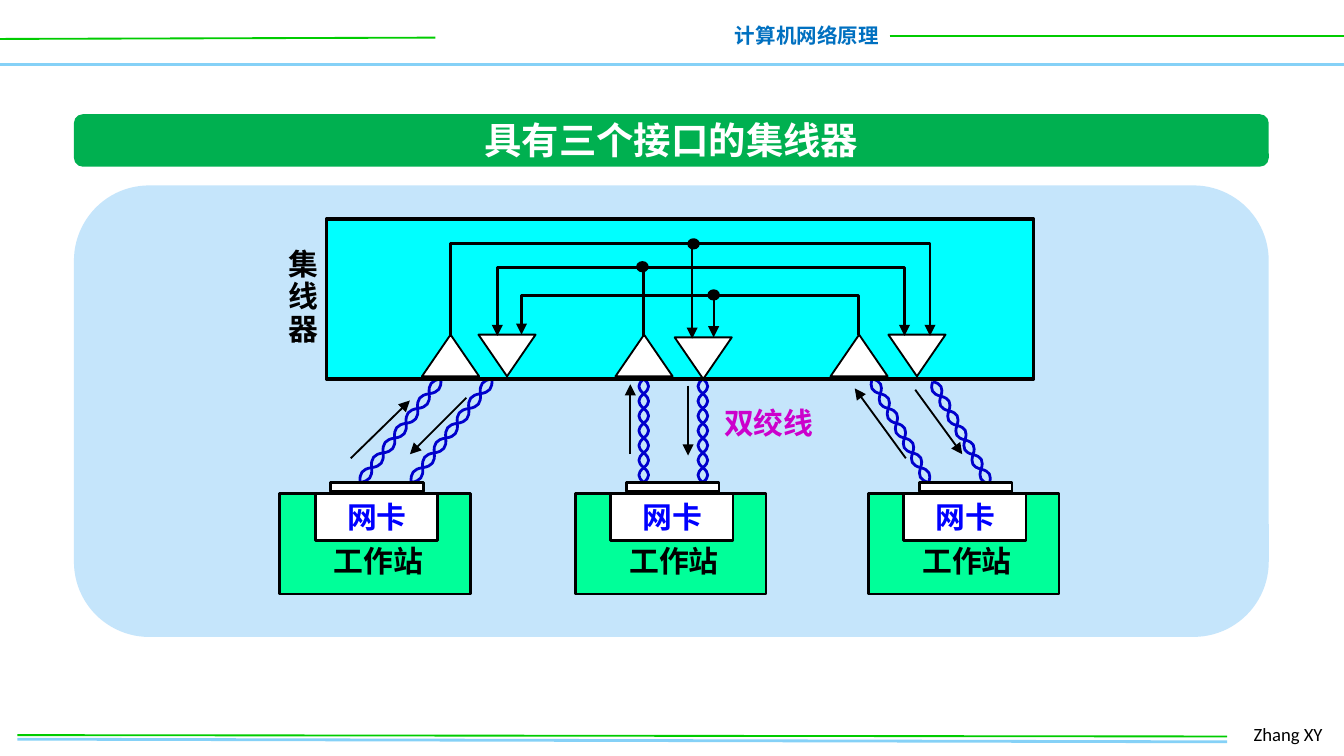
from math import hypot

from lxml import etree
from pptx import Presentation
from pptx.dml.color import RGBColor
from pptx.enum.shapes import MSO_CONNECTOR, MSO_SHAPE
from pptx.enum.text import MSO_AUTO_SIZE, PP_ALIGN
from pptx.oxml.ns import qn
from pptx.util import Inches, Pt

RECTANGLE, ROUNDED = MSO_SHAPE.RECTANGLE, MSO_SHAPE.ROUNDED_RECTANGLE
TRIANGLE, OVAL = MSO_SHAPE.ISOSCELES_TRIANGLE, MSO_SHAPE.OVAL
STRAIGHT = MSO_CONNECTOR.STRAIGHT
LEFT, CENTER, RIGHT = PP_ALIGN.LEFT, PP_ALIGN.CENTER, PP_ALIGN.RIGHT
CJK = "Noto Sans CJK SC"
BLACK, WHITE = "000000", "FFFFFF"

presentation = Presentation()
presentation.slide_width, presentation.slide_height = Inches(10), Inches(5.625)
slide = presentation.slides.add_slide(presentation.slide_layouts[6])
shapes = slide.shapes

# All positions are counted in square cells, 100 columns across the slide
CELL = presentation.slide_width // 100


def style(shape, fill=None, line=None, weight=1, arrow=False):
    """Set fill, outline and arrowhead, and switch the shadow off."""
    if hasattr(shape, "fill"):
        if fill:
            shape.fill.solid()
            shape.fill.fore_color.rgb = RGBColor.from_string(fill)
        else:
            shape.fill.background()
    if line:
        shape.line.color.rgb = RGBColor.from_string(line)
        shape.line.width = Pt(weight)
    else:
        shape.line.fill.background()
    properties = shape._element.spPr
    if arrow:
        etree.SubElement(properties.find(qn("a:ln")), qn("a:tailEnd"), type="triangle")
    etree.SubElement(properties, qn("a:effectLst"))


def add_label(text, box, size, color, align=LEFT, font=CJK, bold=True, spacing=None):
    """Place an unwrapped label, one paragraph per line of text."""
    textbox = shapes.add_textbox(*[int(value * CELL) for value in box])
    frame = textbox.text_frame
    frame.word_wrap = False
    frame.auto_size = MSO_AUTO_SIZE.SHAPE_TO_FIT_TEXT
    frame.text = text
    for paragraph in frame.paragraphs:
        paragraph.alignment = align
        paragraph.line_spacing = spacing
        paragraph.font.size = Pt(size)
        paragraph.font.bold = bold
        paragraph.font.color.rgb = RGBColor.from_string(color)
        paragraph.font.name = font
        defaults = paragraph._p.pPr.find(qn("a:defRPr"))
        etree.SubElement(defaults, qn("a:ea"), typeface=font)


# Header and footer rules
for x1, y1, x2, y2, color, weight in [
    (0, 4.8, 100, 4.8, "85D1F7", 2),
    (0, 2.9, 32.4, 2.8, "00CC00", 1),
    (66.2, 2.7, 100, 2.7, "00CC00", 1),
    (1.3, 55, 91.3, 55.2, "85D1F7", 1.5),
    (1.3, 54.7, 91.3, 54.8, "00CC00", 1),
]:
    rule = shapes.add_connector(STRAIGHT, *[int(v * CELL) for v in (x1, y1, x2, y2)])
    style(rule, line=color, weight=weight)
add_label("计算机网络原理", (53.6, 1.2, 12.8, 2.9), 11, "0070C0", RIGHT)
add_label("Zhang XY", (92.3, 53.3, 7.4, 2.7), 10, BLACK, font="Calibri", bold=False)

# Title bar and panel
for top, height, color in [(8.5, 3.9, "00B050"), (13.8, 33.6, "C5E5FB")]:
    panel = shapes.add_shape(ROUNDED, *[int(v * CELL) for v in (5.5, top, 88.9, height)])
    style(panel, color)
add_label("具有三个接口的集线器", (34.5, 8.2, 30.9, 4.4), 20, WHITE, CENTER)

# Twisted pairs: two opposite waves along each cable, one curve per half wave
HALF_WAVES, REACH = 7, 0.48
for x1, y1, x2, y2 in [
    (26.8, 35.9, 32.8, 28.2), (30.6, 35.9, 36.6, 28.2),
    (47.9, 35.9, 47.9, 28.2), (52.3, 35.9, 52.3, 28.2),
    (69.1, 35.9, 64.9, 28.2), (73.6, 36, 69.4, 28.4),
]:
    run, rise = x2 - x1, y2 - y1
    for side in (-1, 1):
        points = []
        for wave in range(HALF_WAVES):
            swing = side * (-1) ** wave * REACH / hypot(run, rise)
            for along, offset in [(0.36, swing), (0.64, swing), (1, 0)]:
                share = (wave + along) / HALF_WAVES
                points.append(((x1 + run * share - rise * offset) * CELL,
                               (y1 + rise * share + run * offset) * CELL))
        builder = shapes.build_freeform(x1 * CELL, y1 * CELL)
        builder.add_line_segments(points, close=False)
        strand = builder.convert_to_shape()
        segments = list(strand._element.iter(qn("a:lnTo")))
        for first in range(0, len(segments), 3):
            curve = etree.Element(qn("a:cubicBezTo"))
            segments[first].addprevious(curve)
            for segment in segments[first:first + 3]:
                curve.append(segment[0])
                segment.getparent().remove(segment)
        style(strand, line="0000CC", weight=1.5)

# Hub with its input (upward) and output (downward) amplifiers
hub = shapes.add_shape(RECTANGLE, *[int(v * CELL) for v in (24.3, 16.3, 52.6, 11.9)])
style(hub, "00FFFF", BLACK, 2)
for x, y, rotation in [
    (31.4, 24.9, 0), (45.8, 24.9, 0), (61.8, 24.9, 0),
    (35.6, 24.9, 180), (50.2, 25.1, 180), (66.1, 24.9, 180),
]:
    amplifier = shapes.add_shape(TRIANGLE, *[int(v * CELL) for v in (x, y, 4.25, 3.1)])
    amplifier.rotation = rotation
    style(amplifier, WHITE, BLACK)
add_label("集\n线\n器", (20.5, 18.1, 4.3, 8.3), 16, BLACK, spacing=0.9)

# Bent wires inside the hub
for wire in [
    [(63.9, 24.9), (63.9, 22), (38.8, 22), (38.8, 24.9)],
    [(47.9, 25.1), (47.9, 19.9), (67.3, 19.9), (67.3, 25)],
    [(47.9, 19.9), (37, 19.9), (37, 25)],
    [(33.5, 25.1), (33.5, 18.1), (69.2, 18.1), (69.2, 25)],
]:
    points = [(x * CELL, y * CELL) for x, y in wire]
    builder = shapes.build_freeform(*points[0])
    builder.add_line_segments(points[1:], close=False)
    style(builder.convert_to_shape(), line=BLACK, weight=1.5, arrow=True)

# Straight arrows: two wires in the hub, then one beside each cable
for ends in [
    (53.1, 22.1, 53.1, 25.1), (51.5, 18.2, 51.5, 25.2),
    (46.9, 33.8, 46.9, 28.6), (51.2, 28.7, 51.2, 33.9),
    (26.1, 34.1, 30.5, 29.8), (34.7, 29.6, 30.5, 33.8),
    (67.4, 34.1, 63.6, 28.9), (68.1, 29, 71.6, 33.8),
]:
    arrow = shapes.add_connector(STRAIGHT, *[int(v * CELL) for v in ends])
    style(arrow, line=BLACK, arrow=True)

# Junction dots
for x, y in [(47.4, 19.5), (51.2, 17.8), (52.7, 21.6)]:
    dot = shapes.add_shape(OVAL, *[int(v * CELL) for v in (x, y, 0.8, 0.7)])
    style(dot, BLACK, BLACK)

# Workstations with network card and socket
for left in (20.8, 42.8, 64.6):
    for x, y, width, height, color in [
        (0, 36.7, 14.2, 7.5, "00FF99"),
        (2.65, 36.7, 9.1, 3.5, WHITE),
        (3.8, 35.9, 6.9, 0.7, WHITE),
    ]:
        part = shapes.add_shape(
            RECTANGLE, *[int(v * CELL) for v in (left + x, y, width, height)])
        style(part, color, BLACK, 1.5)
    add_label("网卡", (left + 4.05, 36.6, 6.5, 3.7), 16, "0000FF")
    add_label("工作站", (left + 3.05, 39.9, 8.8, 3.7), 16, BLACK)

add_label("双绞线", (52.9, 29.6, 8.8, 3.7), 16, "CC00CC")

presentation.save("out.pptx")
